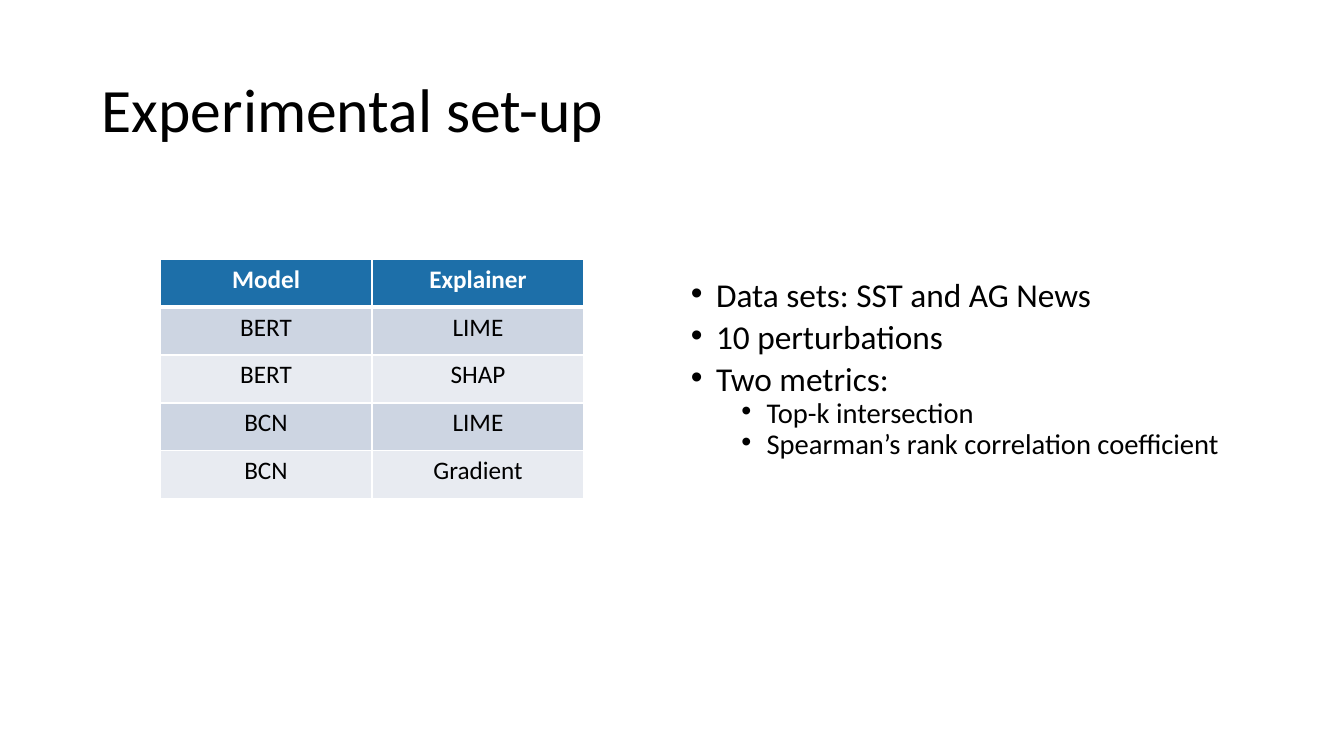
import dataclasses

import lxml.etree
import pptx
import pptx.dml.color
import pptx.enum.text
import pptx.oxml.ns
import pptx.util

EMU_PER_PX = 914400 / 100.8


@dataclasses.dataclass(frozen=True)
class Theme:
    font: str = "Calibri"
    text: str = "000000"
    white: str = "FFFFFF"
    header: str = "1D6FA9"
    bands: tuple = ("CDD5E2", "E8EBF1")
    title_size: float = 44
    bullet_sizes: tuple = (23.8, 20.4)
    table_size: float = 18
    border: float = 1
    header_border: float = 3


THEME = Theme()

ROWS = [
    ("Model", "Explainer"),
    ("BERT", "LIME"),
    ("BERT", "SHAP"),
    ("BCN", "LIME"),
    ("BCN", "Gradient"),
]

BULLETS = [
    (0, "Data sets: SST and AG News"),
    (0, "10 perturbations"),
    (0, "Two metrics:"),
    (1, "Top-k intersection"),
    (1, "Spearman’s rank correlation coefficient"),
]


def px(length):
    return pptx.util.Emu(round(length * EMU_PER_PX))


def rgb(value):
    return pptx.dml.color.RGBColor.from_string(value)


def add_child(parent, tag, **attributes):
    return lxml.etree.SubElement(parent, pptx.oxml.ns.qn(tag), attributes)


def add_span(para, text, size, color=THEME.text, bold=False):
    span = para.add_run()
    span.text = text
    span.font.name = THEME.font
    span.font.size = pptx.util.Pt(size)
    span.font.bold = bold
    span.font.color.rgb = rgb(color)


def add_text_box(page, left, top, width, height):
    box = page.shapes.add_textbox(px(left), px(top), px(width), px(height))
    box.text_frame.word_wrap = True
    return box.text_frame


def add_title(page, text):
    frame = add_text_box(page, 92, 40, 1159, 146)
    frame.vertical_anchor = pptx.enum.text.MSO_ANCHOR.MIDDLE
    para = frame.paragraphs[0]
    para.line_spacing = 0.9
    add_span(para, text, THEME.title_size)


def add_bullets(page, bullets):
    frame = add_text_box(page, 681, 280, 580, 191)
    for index, (level, text) in enumerate(bullets):
        para = frame.add_paragraph() if index else frame.paragraphs[0]
        para.level = level
        para.line_spacing = 0.7
        para.space_before = pptx.util.Pt((10, 5)[level])
        add_span(para, text, THEME.bullet_sizes[level])

        # Hanging bullet, indented half an inch more per level
        props = para._p.get_or_add_pPr()
        props.set("marL", str(pptx.util.Inches(0.25 + 0.5 * level)))
        props.set("indent", str(pptx.util.Inches(-0.25)))
        add_child(props, "a:buFont", typeface="Arial")
        add_child(props, "a:buChar", char="•")


def set_borders(cell, top, bottom):
    props = cell._tc.get_or_add_tcPr()
    widths = {"L": THEME.border, "R": THEME.border, "T": top, "B": bottom}
    for position, (side, width) in enumerate(widths.items()):
        line = add_child(props, f"a:ln{side}", w=str(pptx.util.Pt(width)))
        add_child(add_child(line, "a:solidFill"), "a:srgbClr", val=THEME.white)
        # Border lines must come before the cell's fill
        props.insert(position, line)


def add_model_table(page, rows):
    column_width, row_height = 212, 48
    columns = len(rows[0])
    table = page.shapes.add_table(
        len(rows), columns, px(160), px(259),
        px(column_width * columns), px(row_height * len(rows))).table
    for column in table.columns:
        column.width = px(column_width)
    for row_index, values in enumerate(rows):
        is_header = row_index == 0
        table.rows[row_index].height = px(row_height)
        fill = THEME.header if is_header else THEME.bands[(row_index - 1) % 2]
        top = THEME.header_border if row_index == 1 else THEME.border
        bottom = THEME.header_border if is_header else THEME.border
        for column_index, text in enumerate(values):
            cell = table.cell(row_index, column_index)
            cell.fill.solid()
            cell.fill.fore_color.rgb = rgb(fill)
            set_borders(cell, top, bottom)
            para = cell.text_frame.paragraphs[0]
            para.alignment = pptx.enum.text.PP_ALIGN.CENTER
            add_span(para, text, THEME.table_size,
                     THEME.white if is_header else THEME.text, is_header)


def main():
    deck = pptx.Presentation()
    deck.slide_width, deck.slide_height = px(1344), px(756)
    page = deck.slides.add_slide(deck.slide_layouts[6])

    # Heading
    add_title(page, "Experimental set-up")
    # Data sets and metrics on the right
    add_bullets(page, BULLETS)
    # Model and explainer pairs on the left
    add_model_table(page, ROWS)

    deck.save("out.pptx")


if __name__ == "__main__":
    main()
